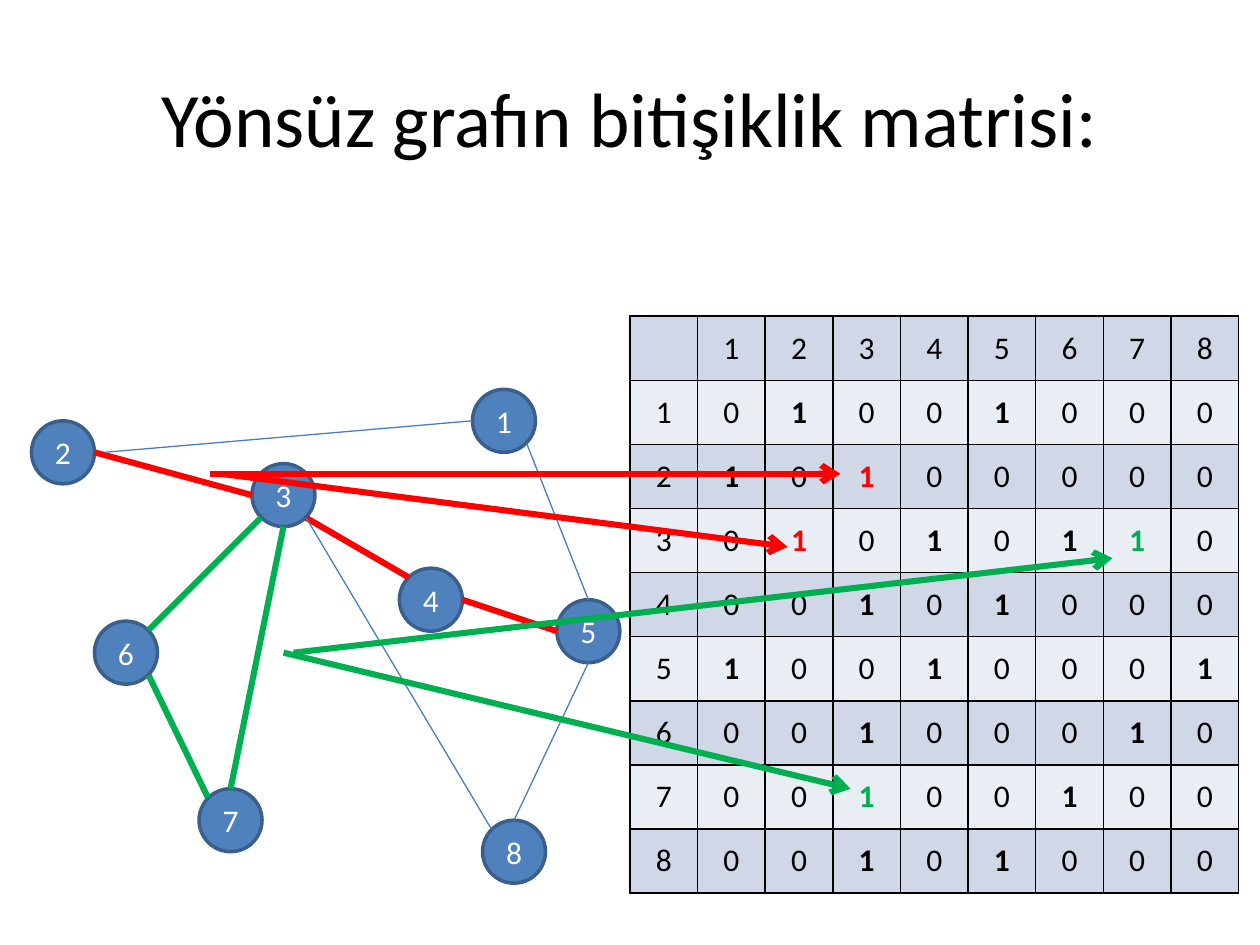
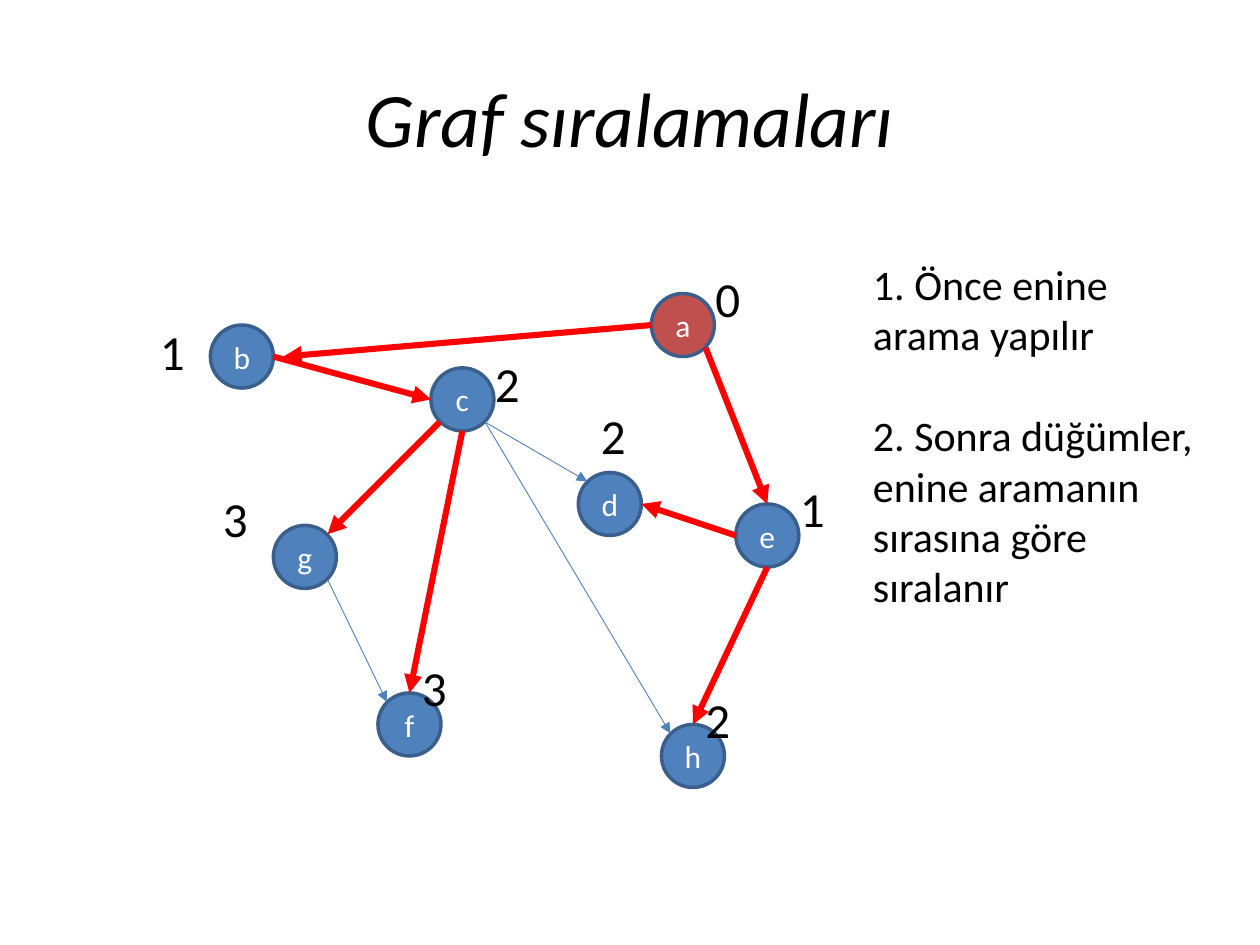
"""Build two slides on graphs: an adjacency matrix and graph orderings."""
import pptx
import pptx.util
import pptx.dml.color
import pptx.enum.shapes
import pptx.enum.text
import pptx.oxml.ns
import lxml.etree

Inches = pptx.util.Inches
Pt = pptx.util.Pt
qn = pptx.oxml.ns.qn
SHAPE = pptx.enum.shapes.MSO_SHAPE
ANCHOR = pptx.enum.text.MSO_ANCHOR
ALIGN = pptx.enum.text.PP_ALIGN

FONT = "Calibri"
BLACK, WHITE = "000000", "FFFFFF"
RED, GREEN = "FF0000", "00B050"
BLUE, EDGE, ROOT = "4F81BD", "3A5F8C", "C0504D"
BANDS = ["D0D8E8", "E9EDF4"]
SIZE = 0.5
BOLD = 3.5


def tint(code):
    """Turn a hex string into a colour."""
    return pptx.dml.color.RGBColor.from_string(code)


def link(shapes, start, end, color, width, head=None):
    """Draw a straight line, with an arrowhead at its end if one is named."""
    ends = [Inches(v) for v in (*start, *end)]
    line = shapes.add_connector(pptx.enum.shapes.MSO_CONNECTOR.STRAIGHT, *ends)
    line.line.color.rgb = tint(color)
    line.line.width = Pt(width)
    props = line.element.spPr
    if head:
        lxml.etree.SubElement(props.find(qn("a:ln")), qn("a:tailEnd"), type=head)
    lxml.etree.SubElement(props, qn("a:effectLst"))


nodes = {
    "2": ("b", 0.25, 3.34), "3": ("c", 2, 3.68), "6": ("g", 0.75, 4.93),
    "4": ("d", 3.17, 4.51), "1": ("a", 3.75, 3.09), "5": ("e", 4.42, 4.76),
    "7": ("f", 1.58, 6.26), "8": ("h", 3.83, 6.51),
}
ports = {
    "N": (0, -0.25), "S": (0, 0.25), "W": (-0.25, 0), "E": (0.25, 0),
    "NW": (-0.18, -0.18), "NE": (0.18, -0.18),
    "SW": (-0.18, 0.18), "SE": (0.18, 0.18), "far E": (0.33, 0),
}
edges = [
    ("2", "E", "3", "W", RED, RED), ("3", "SE", "4", "NW", RED, None),
    ("3", "SW", "6", "NE", GREEN, RED), ("3", "S", "7", "N", GREEN, RED),
    ("6", "SE", "7", "NW", GREEN, None), ("5", "W", "4", "E", RED, RED),
    ("1", "SE", "5", "N", None, RED), ("5", "S", "8", "N", None, RED),
    ("1", "W", "2", "far E", None, RED), ("3", "SE", "8", "NW", None, None),
]
pages = [
    ("Yönsüz grafın bitişiklik matrisi:", False, 0, 0, ("4B7EBC", 0.75), None),
    ("Graf sıralamaları", True, 1.42, -0.76, (BLUE, 0.5), "triangle"),
]

deck = pptx.Presentation()
deck.slide_width, deck.slide_height = Inches(10), Inches(7.5)
slides, groups = [], []

for page, (title, slant, dx, dy, thin, head) in enumerate(pages):
    slide = deck.slides.add_slide(deck.slide_layouts[5])
    slides.append(slide)
    box = slide.shapes.title
    box.left, box.top, box.width, box.height = map(Inches, (0.5, 0.3, 9, 1.25))
    box.text_frame.text = title
    font = box.text_frame.paragraphs[0].runs[0].font
    font.name, font.size, font.color.rgb = FONT, Pt(44), tint(BLACK)
    if slant:
        font.italic = True

    group = slide.shapes.add_group_shape().shapes
    groups.append(group)
    mid = {}
    for digit, (letter, x, y) in nodes.items():
        x, y = x + dx, y + dy
        mid[digit] = (x + SIZE / 2, y + SIZE / 2)
        node = group.add_shape(SHAPE.FLOWCHART_CONNECTOR, Inches(x), Inches(y),
                               Inches(SIZE), Inches(SIZE))
        node.shadow.inherit = False
        node.fill.solid()
        node.fill.fore_color.rgb = tint(ROOT if page and letter == "a" else BLUE)
        node.line.color.rgb, node.line.width = tint(EDGE), Pt(2)
        frame = node.text_frame
        frame.text = letter if page else digit
        frame.vertical_anchor = ANCHOR.MIDDLE
        para = frame.paragraphs[0]
        para.alignment = ALIGN.CENTER
        font = para.runs[0].font
        font.name, font.size, font.color.rgb = FONT, Pt(18), tint(WHITE)

    for first, out, last, into, *colors in edges:
        start = [m + p for m, p in zip(mid[first], ports[out])]
        end = [m + p for m, p in zip(mid[last], ports[into])]
        color, width = (colors[page], BOLD) if colors[page] else thin
        link(group, start, end, color, width, head)

matrix = [
    " 12345678", "101001000", "210100000", "301010110", "400101000",
    "510010001", "600100010", "700100100", "800101000",
]
marks = {(2, 3): RED, (3, 2): RED, (3, 7): GREEN, (7, 3): GREEN}
count = len(matrix)
table = slides[0].shapes.add_table(count, count, Inches(5), Inches(2.51),
                                   Inches(4.83), Inches(4.58)).table
table.first_row = table.horz_banding = False
for r, row in enumerate(matrix):
    for c, sign in enumerate(row):
        cell = table.cell(r, c)
        cell.vertical_anchor = ANCHOR.MIDDLE
        props = cell._tc.get_or_add_tcPr()
        for side in ("a:lnL", "a:lnR", "a:lnT", "a:lnB"):
            line = lxml.etree.SubElement(props, qn(side), w=str(Pt(1)))
            fill = lxml.etree.SubElement(line, qn("a:solidFill"))
            lxml.etree.SubElement(fill, qn("a:srgbClr"), val=BLACK)
        cell.fill.solid()
        cell.fill.fore_color.rgb = tint(BANDS[r % 2])
        cell.text_frame.text = sign.strip()
        para = cell.text_frame.paragraphs[0]
        para.alignment = ALIGN.CENTER
        for run in para.runs:
            font = run.font
            font.name, font.size = FONT, Pt(18)
            font.bold = r > 0 and c > 0 and sign == "1"
            font.color.rgb = tint(marks.get((r, c), BLACK))

for start, end, color in [
    ((1.67, 3.76), (6.67, 3.76), RED), ((1.75, 3.76), (6.25, 4.34), RED),
    ((2.25, 5.18), (6.75, 6.26), GREEN), ((2.33, 5.18), (8.83, 4.43), GREEN),
]:
    link(slides[0].shapes, start, end, color, BOLD, "arrow")

steps = [
    "1. Önce enine arama yapılır",
    "2. Sonra düğümler, enine aramanın sırasına göre sıralanır",
]
box = slides[1].shapes.add_textbox(*map(Inches, (6.83, 2, 2.92, 2.93)))
frame = box.text_frame
frame.word_wrap = True
frame.text = "\n".join(steps)
frame.paragraphs[1].space_before = Pt(29)
for para in frame.paragraphs:
    font = para.runs[0].font
    font.name, font.size, font.color.rgb = FONT, Pt(24), tint(BLACK)

for level, x, y in [
    ("0", 5.58, 2.08), ("1", 1.17, 2.5), ("1", 6.25, 3.75), ("2", 4.67, 3.17),
    ("2", 3.83, 2.76), ("3", 1.67, 3.83), ("2", 5.5, 5.42), ("3", 3.25, 5.17),
]:
    box = groups[1].add_textbox(*map(Inches, (x, y, 0.4, 0.57)))
    box.text_frame.word_wrap = False
    box.text_frame.text = level
    font = box.text_frame.paragraphs[0].runs[0].font
    font.name, font.size, font.color.rgb = FONT, Pt(28), tint(BLACK)

deck.save("out.pptx")
